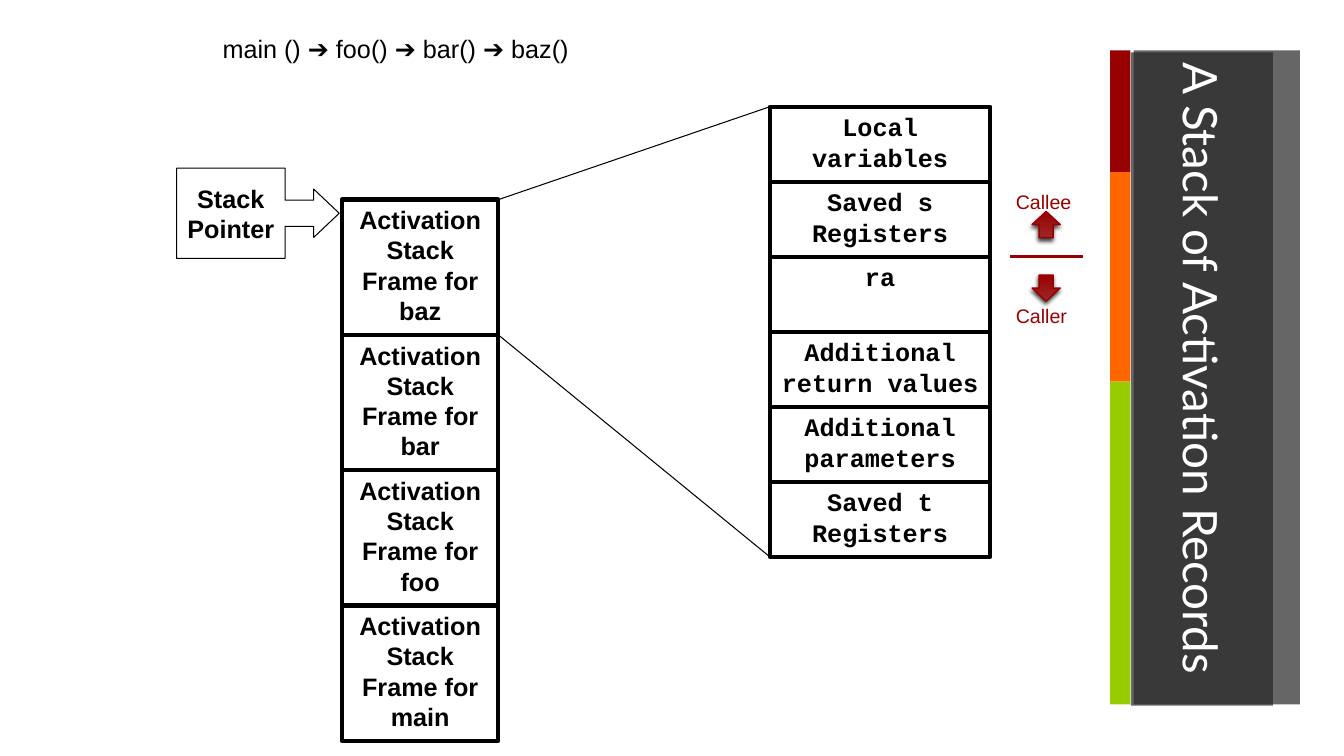
from lxml import etree
from pptx import Presentation
from pptx.dml.color import RGBColor
from pptx.enum.shapes import MSO_CONNECTOR, MSO_SHAPE
from pptx.enum.text import MSO_ANCHOR as Anchor, PP_ALIGN as Align
from pptx.oxml.ns import qn
from pptx.util import Cm, Pt

BLACK, WHITE, DARK, RED = "000000", "FFFFFF", "262626", "990000"
STRIP = [(RED, 3.07), ("FF6600", 5.28), ("99CC00", 8.13)]
FUNCTIONS = ["baz", "bar", "foo", "main"]
RECORD_PARTS = ["Local variables", "Saved s Registers", "ra",
                "Additional return values", "Additional parameters",
                "Saved t Registers"]
FRAME_LEFT, FRAME_TOP, FRAME_WIDTH, FRAME_HEIGHT = 8.62, 5.03, 3.94, 3.41
PART_LEFT, PART_TOP, PART_WIDTH, PART_HEIGHT = 19.4, 2.69, 5.56, 1.89


def color(hex_code):
    """Turn a hex string into a colour."""
    return RGBColor.from_string(hex_code)


def write(shape, text, size=18, font="Arial", hex_code=BLACK, bold=False,
          align=Align.LEFT, anchor=Anchor.TOP, wrap=True):
    """Fill a shape with evenly formatted text, one paragraph a line."""
    frame = shape.text_frame
    frame.text = text
    frame.word_wrap = wrap
    frame.vertical_anchor = anchor
    for paragraph in frame.paragraphs:
        paragraph.alignment = align
        for run in paragraph.runs:
            run.font.size = Pt(size)
            run.font.name = font
            run.font.bold = bold
            run.font.color.rgb = color(hex_code)


def add_box(slide, left, top, width, height, fill=None, line=None, weight=3,
            kind=MSO_SHAPE.RECTANGLE, opacity=100):
    """Add a preset shape without shadow."""
    shape = slide.shapes.add_shape(kind, Cm(left), Cm(top), Cm(width), Cm(height))
    shape.shadow.inherit = False
    if fill:
        shape.fill.solid()
        shape.fill.fore_color.rgb = color(fill)
        if opacity < 100:
            value = shape.fill._xPr.find(".//" + qn("a:srgbClr"))
            etree.SubElement(value, qn("a:alpha"), val=str(opacity * 1000))
    else:
        shape.fill.background()
    if line:
        shape.line.color.rgb = color(line)
        shape.line.width = Pt(weight)
    else:
        shape.line.fill.background()
    return shape


def add_line(slide, start, end, hex_code=BLACK, weight=0.75):
    """Draw a straight line between two points."""
    line = slide.shapes.add_connector(
        MSO_CONNECTOR.STRAIGHT, *[Cm(value) for value in start + end])
    line.line.color.rgb = color(hex_code)
    line.line.width = Pt(weight)
    etree.SubElement(line._element.spPr, qn("a:effectLst"))


def add_label(slide, left, top, width, height, text, **style):
    """Add a text box."""
    box = slide.shapes.add_textbox(Cm(left), Cm(top), Cm(width), Cm(height))
    write(box, text, **style)


def add_block_arrow(slide, kind, top):
    """Add a small red gradient arrow with a soft shadow."""
    arrow = add_box(slide, 26.01, top, 0.71, 0.66, RED, "960000", 1, kind)
    arrow.fill.gradient()
    arrow.fill.gradient_angle = 90
    for stop, hex_code in zip(arrow.fill.gradient_stops, ("9D2828", RED)):
        stop.color.rgb = color(hex_code)
    effects = arrow._element.spPr.find(qn("a:effectLst"))
    shadow = etree.SubElement(
        effects, qn("a:outerShdw"), blurRad=str(Pt(3)), dist=str(Pt(2)),
        dir=str(110 * 60000), algn="ctr", rotWithShape="0")
    black = etree.SubElement(shadow, qn("a:srgbClr"), val=BLACK)
    etree.SubElement(black, qn("a:alpha"), val="75000")


def add_title_panel(slide):
    """Draw the coloured strip and the vertical title."""
    add_box(slide, 28.57, 1.27, 4.19, 16.48, DARK, opacity=70)
    top = 1.27
    for hex_code, height in STRIP:
        add_box(slide, 27.98, top, 0.51, height, hex_code)
        top += height
    title = add_box(slide, 28.5, 1.32, 3.58, 16.46, DARK, opacity=70)
    write(title, "A Stack of Activation Records", 34, "Lato", WHITE,
          anchor=Anchor.MIDDLE)
    title.text_frame._txBody.bodyPr.set("vert", "eaVert")


def add_stack(slide):
    """Draw the stack pointer and the stacked frames."""
    pointer = add_box(slide, 4.45, 4.24, 4.1, 2.27, line=BLACK, weight=0.75,
                      kind=MSO_SHAPE.RIGHT_ARROW_CALLOUT)
    for index, value in enumerate((0.29, 0.269, 0.284, 0.667)):
        pointer.adjustments[index] = value
    write(pointer, "Stack\nPointer", bold=True, align=Align.CENTER,
          anchor=Anchor.MIDDLE, wrap=False)
    for index, function in enumerate(FUNCTIONS):
        frame = add_box(slide, FRAME_LEFT, FRAME_TOP + index * FRAME_HEIGHT,
                        FRAME_WIDTH, FRAME_HEIGHT, line=BLACK)
        write(frame, f"Activation\nStack\nFrame for\n{function}", bold=True,
              align=Align.CENTER)


def add_record(slide):
    """Draw the parts of one frame and the lines that expand it."""
    for index, part in enumerate(RECORD_PARTS):
        box = add_box(slide, PART_LEFT, PART_TOP + index * PART_HEIGHT,
                      PART_WIDTH, PART_HEIGHT, line=BLACK)
        write(box, part, font="Courier New", bold=True, align=Align.CENTER)
    frame_right = FRAME_LEFT + FRAME_WIDTH
    record_bottom = PART_TOP + len(RECORD_PARTS) * PART_HEIGHT
    add_line(slide, (frame_right, FRAME_TOP), (PART_LEFT, PART_TOP))
    add_line(slide, (frame_right, FRAME_TOP + FRAME_HEIGHT),
             (PART_LEFT, record_bottom))


def add_responsibility(slide):
    """Mark which parts belong to callee and caller."""
    border = PART_TOP + 2 * PART_HEIGHT
    add_line(slide, (25.45, border), (27.28, border), RED, 2)
    for text, top in (("Callee", 4.65), ("Caller", 7.54)):
        add_label(slide, 25.35, top, 2.01, 0.86, text, size=14, hex_code=RED)
    add_block_arrow(slide, MSO_SHAPE.UP_ARROW, 5.33)
    add_block_arrow(slide, MSO_SHAPE.DOWN_ARROW, 6.93)


def main():
    """Build and save the slide."""
    presentation = Presentation()
    presentation.slide_width = Cm(33.87)
    presentation.slide_height = Cm(19.05)
    slide = presentation.slides.add_slide(presentation.slide_layouts[6])
    add_title_panel(slide)
    add_stack(slide)
    add_record(slide)
    add_label(slide, 5.36, 0.71, 11.61, 1.02,
              "main () ➔ foo() ➔ bar() ➔ baz()")
    add_responsibility(slide)
    presentation.save("out.pptx")


main()
